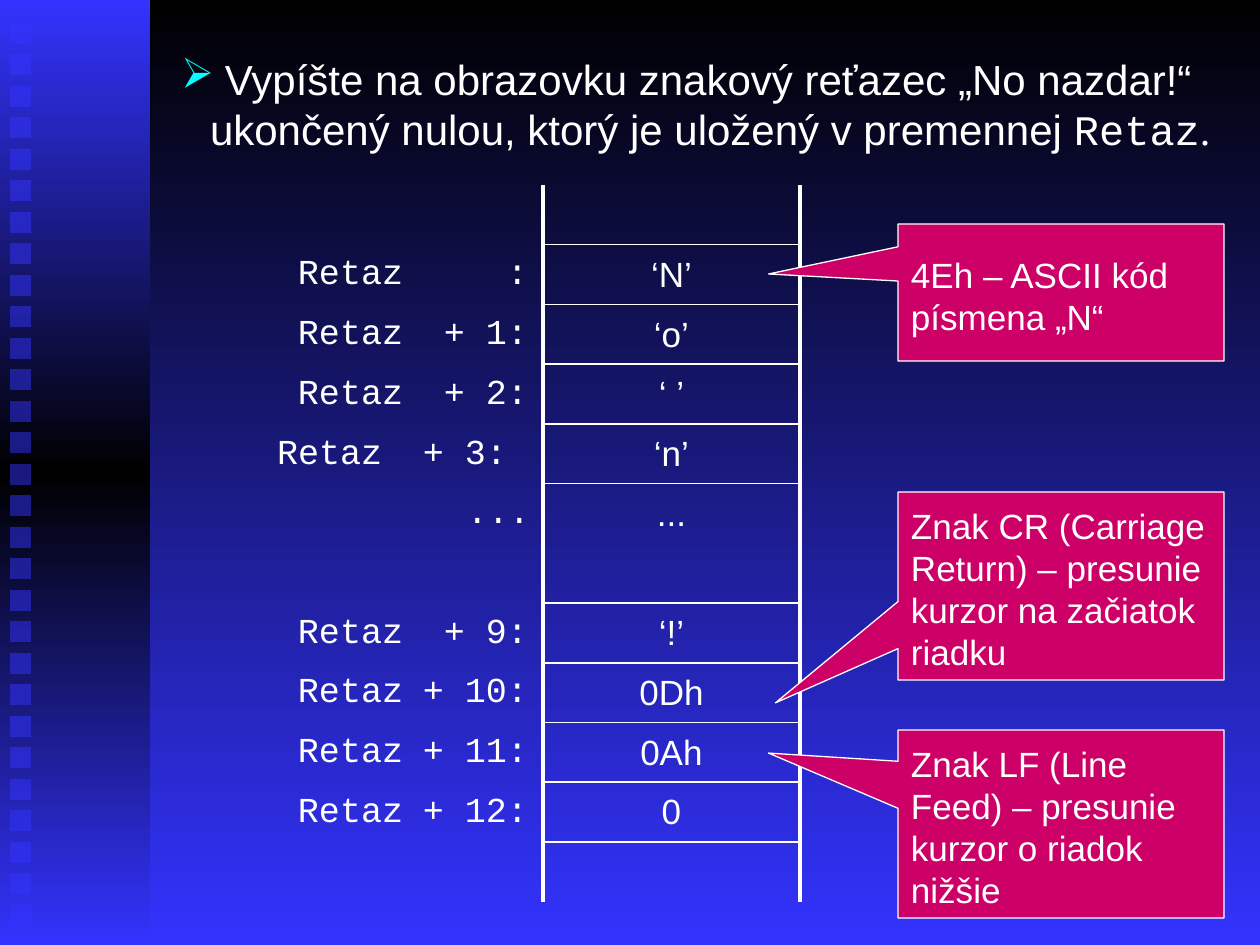
from lxml.etree import SubElement
from pptx import Presentation
from pptx.dml.color import RGBColor
from pptx.enum.shapes import MSO_SHAPE as Shape
from pptx.enum.text import MSO_ANCHOR as Anchor, PP_ALIGN as Align
from pptx.oxml.ns import qn
from pptx.util import Emu, Pt

COLORS = {"white": "FFFFFF", "black": "000000", "blue": "3333FF", "cyan": "00FFFF", "pink": "CC0066"}
SANS, MONO, SERIF = "Arial", "Courier New", "Times New Roman"
NO_GRID_STYLE = "{2D5ABB26-0587-4C30-8999-92F81FD0307C}"
MARGINS = {"margin_left": 13, "margin_top": 11, "margin_right": 13, "margin_bottom": 6}
SIDES = ("L", "R", "T", "B")
THICK, THIN = 2.25, 1

MEMORY = [
    ("", ""),
    ("Retaz\t:", "‘N’"),
    ("Retaz\t+ 1:", "‘o’"),
    ("Retaz\t+ 2:", "‘ ’"),
    ("Retaz\t+ 3:", "‘n’"),
    ("...", "..."),
    ("", ""),
    ("Retaz\t+ 9:", "‘!’"),
    ("Retaz\t+ 10:", "0Dh"),
    ("Retaz\t+ 11:", "0Ah"),
    ("Retaz\t+ 12:", "0"),
    ("", ""),
]
SHIFTED_ROW, ELLIPSIS_ROW = 4, 5

CALLOUTS = [
    (224, 137, (-0.897, -0.135), "4Eh – ASCII kód písmena „N“"),
    (492, 188, (-0.876, 0.622), "Znak CR (Carriage Return) – presunie kurzor na začiatok riadku"),
    (730, 188, (-0.897, -0.377), "Znak LF (Line Feed) – presunie kurzor o riadok nižšie"),
]


def px(length):
    return Emu(round(length * 914400 / 126))


def rgb(name):
    return RGBColor.from_string(COLORS[name])


def add_color(parent, name):
    return SubElement(parent, qn("a:srgbClr"), val=COLORS[name])


def apply_format(target, values):
    for name, value in values.items():
        setattr(target, name, value)


class SlideBuilder:
    def __init__(self, page):
        self.page = page

    def gradient(self, fill, owner, names):
        fill.gradient()
        fill.gradient_angle = 270
        stops = next(owner.iter(qn("a:gsLst")))
        for stop in list(stops):
            stops.remove(stop)
        for index, name in enumerate(names):
            position = index * 100000 // (len(names) - 1)
            add_color(SubElement(stops, qn("a:gs"), pos=str(position)), name)

    def background(self, names):
        self.gradient(self.page.background.fill, self.page.element, names)

    def shape(self, kind, left, top, width, height):
        shape = self.page.shapes.add_shape(kind, px(left), px(top), px(width), px(height))
        shape.shadow.inherit = False
        shape.line.fill.background()
        return shape

    def gradient_bar(self, left, top, width, height, names):
        bar = self.shape(Shape.RECTANGLE, left, top, width, height)
        self.gradient(bar.fill, bar.element, names)

    def glass_square(self, left, top, size):
        square = self.shape(Shape.RECTANGLE, left, top, size, size)
        square.fill.solid()
        square.fill.fore_color.rgb = rgb("blue")
        SubElement(next(square.element.iter(qn("a:srgbClr"))), qn("a:alpha"), val="50000")

    def span(self, para, text, font, size):
        span = para.add_run()
        span.text = text
        apply_format(span.font, {"name": font, "size": Pt(size)})
        span.font.color.rgb = rgb("white")

    def frame(self, frame, **values):
        margins = {name: px(value) for name, value in MARGINS.items()}
        apply_format(frame, {**margins, "word_wrap": True, **values})
        return frame.paragraphs[0]

    def bullet_text(self, left, top, width, height, hanging, spans):
        box = self.page.shapes.add_textbox(px(left), px(top), px(width), px(height))
        para = self.frame(box.text_frame)
        props = para._p.get_or_add_pPr()
        props.set("marL", str(px(hanging)))
        props.set("indent", str(-px(hanging)))
        add_color(SubElement(props, qn("a:buClr")), "cyan")
        SubElement(props, qn("a:buChar"), char="➢")
        for text, font in spans:
            self.span(para, text, font, 24)

    def callout(self, left, top, width, height, tip, text):
        callout = self.shape(Shape.RECTANGULAR_CALLOUT, left, top, width, height)
        callout.adjustments[0], callout.adjustments[1] = tip
        callout.fill.solid()
        callout.fill.fore_color.rgb = rgb("pink")
        callout.line.color.rgb = rgb("white")
        callout.line.width = Pt(0.75)
        para = self.frame(callout.text_frame, vertical_anchor=Anchor.MIDDLE)
        para.alignment = Align.LEFT
        self.span(para, text, SANS, 20)

    def cell(self, cell, text, font, align, borders, indent=13, tab=None):
        props = cell._tc.get_or_add_tcPr()
        for side in SIDES:
            width = borders.get(side, 0)
            line = SubElement(props, qn(f"a:ln{side}"), w=str(Pt(width)))
            if width:
                add_color(SubElement(line, qn("a:solidFill")), "white")
            else:
                SubElement(line, qn("a:noFill"))
        cell.fill.background()
        apply_format(cell, {name: px(value) for name, value in MARGINS.items()})
        cell.margin_left = px(indent)
        para = cell.text_frame.paragraphs[0]
        para.alignment = align
        if tab:
            tabs = SubElement(para._p.get_or_add_pPr(), qn("a:tabLst"))
            SubElement(tabs, qn("a:tab"), pos=str(px(tab)), algn="r")
        if text:
            self.span(para, text, font, 20)

    def memory_table(self, left, top, widths, height, rows):
        shape = self.page.shapes.add_table(
            len(rows), len(widths), px(left), px(top), px(sum(widths)), px(height))
        table = shape.table
        apply_format(table, {"first_row": False, "horz_banding": False})
        next(table._tbl.iter(qn("a:tableStyleId"))).text = NO_GRID_STYLE
        for column, width in zip(table.columns, widths):
            column.width = px(width)
        for index, (label, value) in enumerate(rows):
            table.rows[index].height = px(height) // len(rows)
            tabbed = "\t" in label
            indent = 34 if index == SHIFTED_ROW else 55
            self.cell(table.cell(index, 0), label, MONO,
                      Align.LEFT if tabbed else Align.RIGHT, {"R": THICK},
                      indent if tabbed else 13, 230 if tabbed else None)
            borders = {"L": THICK, "R": THICK}
            if index not in (0, ELLIPSIS_ROW + 1):
                borders["T"] = THIN
            if index not in (ELLIPSIS_ROW, len(rows) - 1):
                borders["B"] = THIN
            self.cell(table.cell(index, 1), value, SANS, Align.CENTER, borders)


def main():
    deck = Presentation()
    deck.slide_width, deck.slide_height = px(1260), px(945)
    builder = SlideBuilder(deck.slides.add_slide(deck.slide_layouts[6]))
    builder.background(["black", "blue"])
    builder.gradient_bar(0, 0, 150, 945, ["blue", "black", "blue"])
    for index in range(29):
        builder.glass_square(10, 23 + index * 63 // 2, 21)
    builder.memory_table(243, 185, (300, 257), 717, MEMORY)
    builder.bullet_text(168, 42, 1092, 197, 29, [
        (" ", SERIF),
        ("Vypíšte na obrazovku znakový reťazec „No nazdar!“ ukončený nulou, "
         "ktorý je uložený v premennej ", SANS),
        ("Retaz", MONO),
        (".", SERIF),
    ])
    for top, height, tip, text in CALLOUTS:
        builder.callout(898, top, 326, height, tip, text)
    deck.save("out.pptx")


if __name__ == "__main__":
    main()
